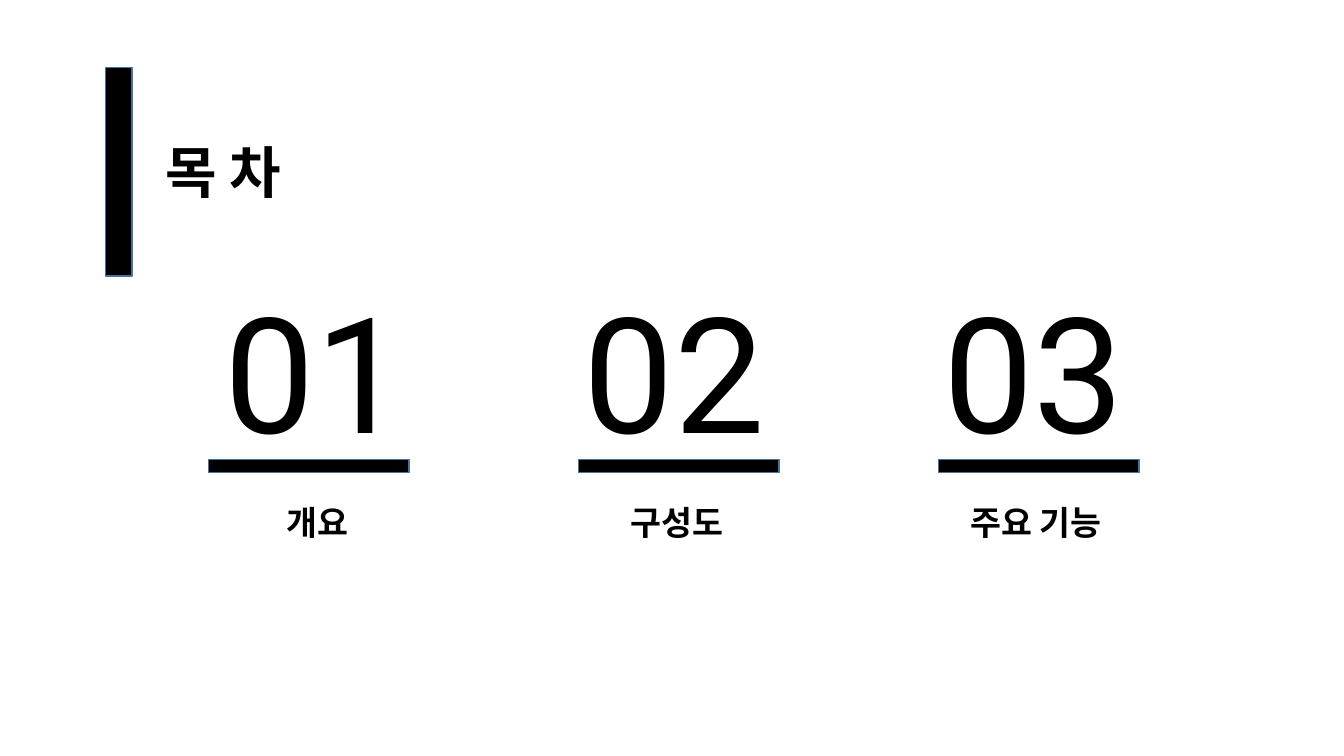
from pptx import Presentation
from pptx.dml.color import RGBColor
from pptx.enum import shapes, text
from pptx.oxml import ns
from pptx.util import Pt
from lxml import etree

TITLE = "목 차"
# number, label, label width, left of rule
PARTS = [
    ("01", "개요", 63.4, 149),
    ("02", "구성도", 87.1, 413.3),
    ("03", "주요 기능", 120.2, 670.3),
]
COLORS = {"ink": "000000", "edge": "43739E"}
KOREAN, DIGITS = "Noto Sans CJK KR", "Roboto"
FIRST, STEP = 226.9, 256.6  # column centres
NUM_W = 146.9

deck = Presentation()
deck.slide_width, deck.slide_height = Pt(960), Pt(540)
slide = deck.slides.add_slide(deck.slide_layouts[6])


def add_bar(*box):
    """Draw a black bar with a thin blue edge."""
    bar = slide.shapes.add_shape(shapes.MSO_SHAPE.RECTANGLE, *map(Pt, box))
    bar.shadow.inherit = False
    bar.fill.solid()
    bar.fill.fore_color.rgb = RGBColor.from_string(COLORS["ink"])
    bar.line.color.rgb = RGBColor.from_string(COLORS["edge"])
    bar.line.width = Pt(1)


def add_text(words, box, size, font, bold=False, align=text.PP_ALIGN.LEFT):
    """Place one line of text that does not wrap."""
    frame = slide.shapes.add_textbox(*map(Pt, box)).text_frame
    frame.text = words
    frame.word_wrap = False
    frame.auto_size = text.MSO_AUTO_SIZE.SHAPE_TO_FIT_TEXT
    para = frame.paragraphs[0]
    para.alignment = align
    run = para.runs[0]
    run.font.size, run.font.bold, run.font.name = Pt(size), bold, font
    run.font.color.rgb = RGBColor.from_string(COLORS["ink"])
    east = etree.SubElement(run.font._element, ns.qn("a:ea"))
    east.set("typeface", font)


add_bar(75.6, 48.2, 18.7, 149)
add_text(TITLE, (110.9, 95, 109.4, 55.4), 40, KOREAN, True)

for i, (num, label, width, left) in enumerate(PARTS):
    mid = FIRST + i * STEP
    add_text(num, (mid - NUM_W / 2, 190.8, NUM_W, 146.9), 115, DIGITS)
    add_bar(left, 328.3, 143.3, 9.4)
    add_text(label, (mid - width / 2, 355, width, 36), 24, KOREAN, True,
             text.PP_ALIGN.CENTER)

deck.save("out.pptx")
